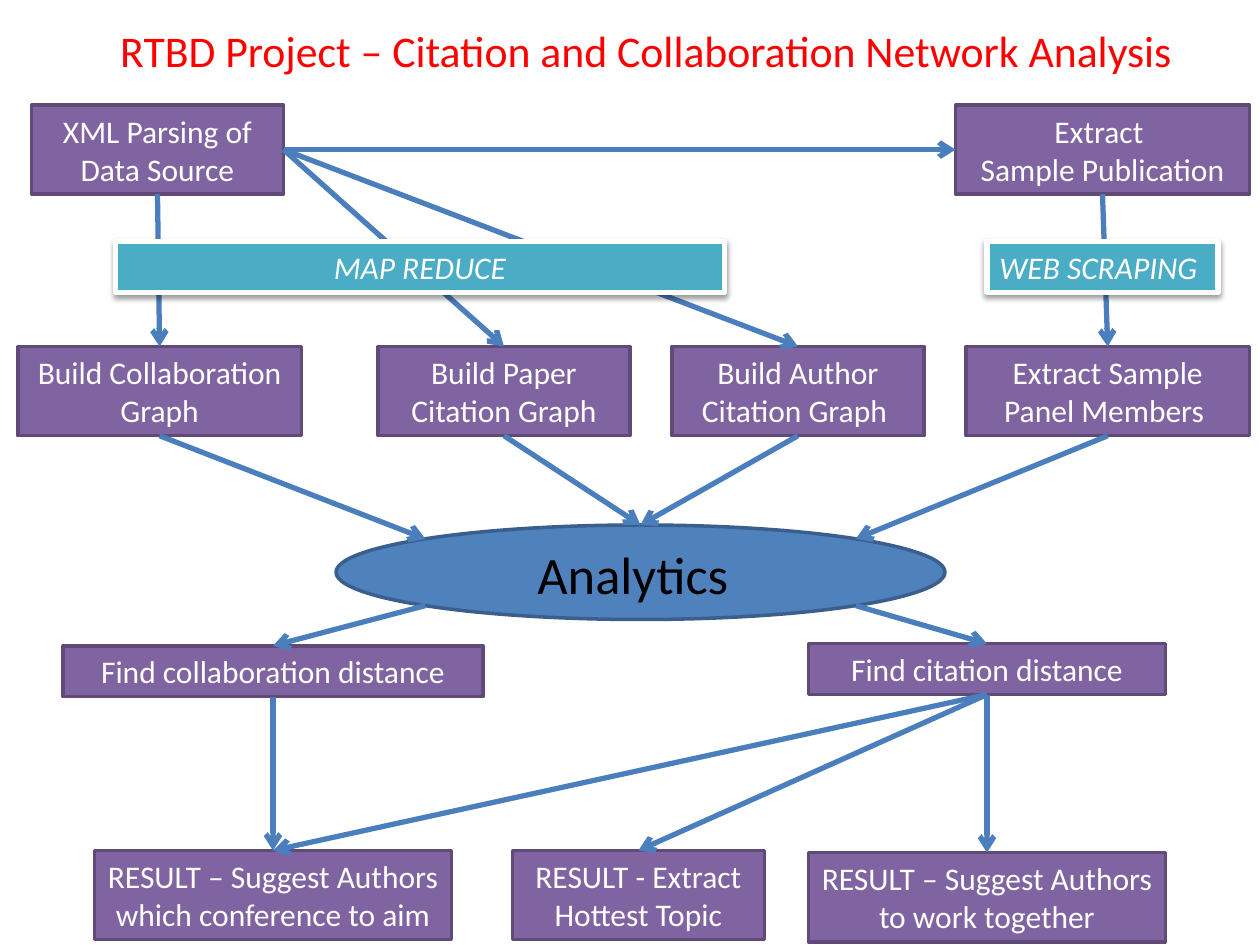
from lxml.etree import SubElement
from pptx import Presentation
from pptx.dml.color import RGBColor
from pptx.enum.shapes import MSO_CONNECTOR as Connector, MSO_SHAPE as Preset
from pptx.enum.text import MSO_ANCHOR as Anchor, MSO_AUTO_SIZE as AutoSize, PP_ALIGN as Align
from pptx.oxml.ns import qn
from pptx.util import Inches, Pt

WHITE = RGBColor(0xFF, 0xFF, 0xFF)
BLACK = RGBColor(0, 0, 0)
RED = RGBColor(0xFF, 0, 0)
PURPLE = RGBColor(0x80, 0x64, 0xA2)
DARK_PURPLE = RGBColor(0x5F, 0x4A, 0x78)
BLUE = RGBColor(0x4F, 0x81, 0xBD)
DARK_BLUE = RGBColor(0x3A, 0x5F, 0x8C)
ARROW_BLUE = RGBColor(0x4B, 0x7E, 0xBC)
TEAL = RGBColor(0x4B, 0xAC, 0xC6)

CELL = Inches(10) / 120  # the slide is a grid of 120 columns by 90 rows
TWO_LINES, ONE_LINE = 8.5, 4.85
TOP, LEFT, BOTTOM, RIGHT = range(4)  # connection sites of a rectangle
DIAGONAL = 0.5 ** 0.5

# name: (column, row, columns wide, rows high, text)
BOXES = {
    "parse": (3, 10, 24, TWO_LINES, "XML Parsing of Data Source"),
    "publication": (91, 10, 28, TWO_LINES, "Extract \vSample Publication"),
    "collaboration graph": (1.7, 33, 27, TWO_LINES, "Build Collaboration Graph"),
    "paper graph": (36, 33, 24, TWO_LINES, "Build Paper Citation Graph"),
    "author graph": (64, 33, 24, TWO_LINES, "Build Author Citation Graph "),
    "panel": (92, 33, 27, TWO_LINES, "Extract Sample Panel Members "),
    "collaboration distance": (6, 61.5, 40, ONE_LINE, "Find collaboration distance"),
    "citation distance": (77, 61.3, 34, ONE_LINE, "Find citation distance"),
    "conference": (9, 81, 34, TWO_LINES, "RESULT – Suggest Authors which conference to aim"),
    "topic": (48.8, 81, 24, TWO_LINES, "RESULT - Extract Hottest Topic"),
    "teamwork": (77, 81.2, 34, TWO_LINES, "RESULT – Suggest Authors to work together"),
}

# (start box, start site, end box, end site)
BOX_LINKS = [
    ("parse", BOTTOM, "collaboration graph", TOP),
    ("parse", RIGHT, "paper graph", TOP),
    ("parse", RIGHT, "author graph", TOP),
    ("parse", RIGHT, "publication", LEFT),
    ("publication", BOTTOM, "panel", TOP),
    ("collaboration distance", BOTTOM, "conference", TOP),
    ("citation distance", BOTTOM, "conference", TOP),
    ("citation distance", BOTTOM, "topic", TOP),
    ("citation distance", BOTTOM, "teamwork", TOP),
]

# (box, horizontal and vertical direction from the middle of the ellipse)
INPUTS = [
    ("collaboration graph", -DIAGONAL, -DIAGONAL),
    ("paper graph", 0, -1),
    ("author graph", 0, -1),
    ("panel", DIAGONAL, -DIAGONAL),
]
OUTPUTS = [
    ("collaboration distance", -DIAGONAL, DIAGONAL),
    ("citation distance", DIAGONAL, DIAGONAL),
]

# (column, row, columns wide, rows high, text, alignment)
METHODS = [
    (94, 23, 22, ONE_LINE, "WEB SCRAPING", Align.LEFT),
    (11, 23, 58, ONE_LINE, "MAP REDUCE", Align.CENTER),
]


def grid(*cells):
    """Turn numbers of grid cells into slide lengths."""
    return [round(cell * CELL) for cell in cells]


def write(shape, text, color, size=18, align=Align.CENTER, italic=None, anchor=Anchor.MIDDLE):
    """Put one formatted paragraph into a shape."""
    frame = shape.text_frame
    frame.text = text
    frame_format = {"word_wrap": True, "auto_size": AutoSize.SHAPE_TO_FIT_TEXT,
                    "vertical_anchor": anchor}
    for name, value in frame_format.items():
        setattr(frame, name, value)
    paragraph = frame.paragraphs[0]
    paragraph.alignment = align
    for run in paragraph.runs:
        for name, value in {"name": "Calibri", "size": Pt(size), "italic": italic}.items():
            setattr(run.font, name, value)
        run.font.color.rgb = color


def add_filled(shapes, preset, place, fill, outline, width=2):
    """Add a flat preset shape with a fill and an outline."""
    shape = shapes.add_shape(preset, *grid(*place))
    shape.shadow.inherit = False
    shape.fill.solid()
    shape.fill.fore_color.rgb = fill
    shape.line.color.rgb = outline
    shape.line.width = Pt(width)
    return shape


def add_label(shapes, place, text, color, **text_format):
    """Add a text box."""
    label = shapes.add_textbox(*grid(*place))
    write(label, text, color, anchor=Anchor.TOP, **text_format)


def add_box(shapes, *place, text):
    """Add a purple step of the flow."""
    box = add_filled(shapes, Preset.RECTANGLE, place, PURPLE, DARK_PURPLE)
    write(box, text, WHITE)
    return box


def add_method(shapes, *place, text, align):
    """Add a teal method banner with a soft shadow."""
    banner = add_filled(shapes, Preset.RECTANGLE, place, TEAL, WHITE, 3)
    write(banner, text, WHITE, align=align, italic=True)
    effects = banner.element.spPr.find(qn("a:effectLst"))
    shadow = SubElement(effects, qn("a:outerShdw"), blurRad=str(Pt(3.1)),
                        dist=str(Pt(1.6)), dir="5400000", rotWithShape="0")
    color = SubElement(shadow, qn("a:srgbClr"), val=str(BLACK))
    SubElement(color, qn("a:alpha"), val="38000")


def add_analytics(shapes):
    """Add the grouped ellipse with its caption and return the ellipse."""
    group = shapes.add_group_shape()
    ellipse = add_filled(group.shapes, Preset.OVAL, (32, 50, 58, 9), BLUE, DARK_BLUE)
    add_label(group.shapes, (50, 51, 22, 7.3), "Analytics", BLACK, size=30, align=Align.LEFT)
    return ellipse


def add_arrow(shapes, start=(0, 0), end=(0, 0), start_site=None, end_site=None):
    """Add an arrow between points; a site, a shape and its index, replaces a point."""
    arrow = shapes.add_connector(Connector.STRAIGHT, *start, *end)
    if start_site:
        arrow.begin_connect(*start_site)
    if end_site:
        arrow.end_connect(*end_site)
    arrow.line.color.rgb = ARROW_BLUE
    arrow.line.width = Pt(3)
    SubElement(arrow.line._get_or_add_ln(), qn("a:tailEnd"), type="arrow")
    SubElement(arrow.element.spPr, qn("a:effectLst"))


def rim_point(ellipse, across, down):
    """Find the point of an ellipse's rim in a direction from its middle."""
    return (round(ellipse.left + ellipse.width * (1 + across) / 2),
            round(ellipse.top + ellipse.height * (1 + down) / 2))


def main():
    """Build the slide and save it."""
    presentation = Presentation()
    presentation.slide_width, presentation.slide_height = grid(120, 90)
    shapes = presentation.slides.add_slide(presentation.slide_layouts[6]).shapes

    boxes = {name: add_box(shapes, *place, text=text)
             for name, (*place, text) in BOXES.items()}
    ellipse = add_analytics(shapes)
    for start, start_index, end, end_index in BOX_LINKS:
        add_arrow(shapes, start_site=(boxes[start], start_index),
                  end_site=(boxes[end], end_index))
    for name, *direction in INPUTS:
        add_arrow(shapes, end=rim_point(ellipse, *direction), start_site=(boxes[name], BOTTOM))
    for name, *direction in OUTPUTS:
        add_arrow(shapes, start=rim_point(ellipse, *direction), end_site=(boxes[name], TOP))
    for *place, text, align in METHODS:
        add_method(shapes, *place, text=text, align=align)
    add_label(shapes, (10, 1.7, 103, 6.3),
              "RTBD Project – Citation and Collaboration Network Analysis", RED, size=25)
    presentation.save("out.pptx")


main()
